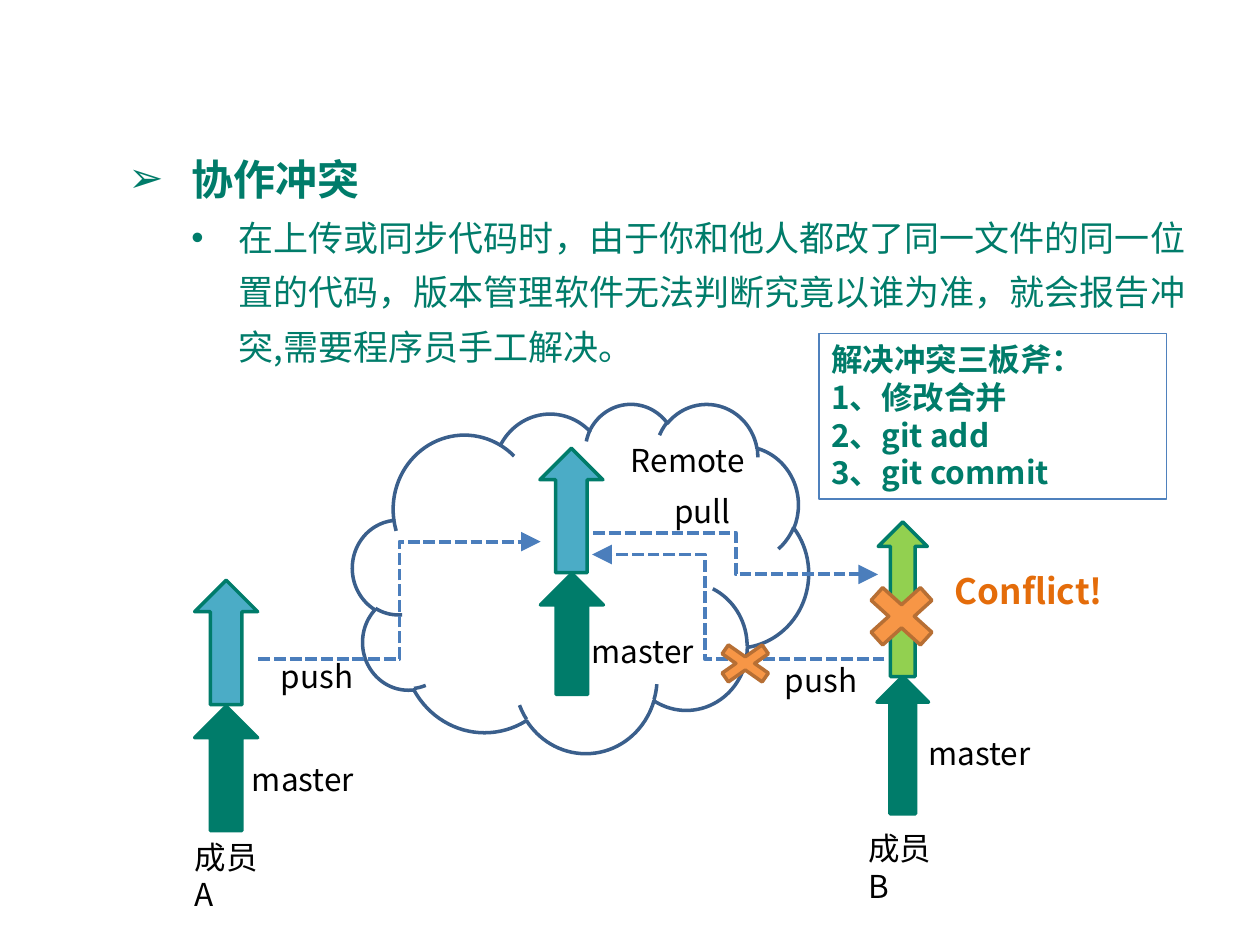
from lxml.etree import SubElement
from pptx import Presentation
from pptx.dml.color import RGBColor
from pptx.enum.dml import MSO_LINE
from pptx.enum.shapes import MSO_CONNECTOR, MSO_SHAPE
from pptx.enum.text import MSO_ANCHOR, PP_ALIGN
from pptx.oxml.ns import qn
from pptx.util import Cm, Pt

COLORS = {
    "teal": "007C6A", "blue": "4BACC6", "green": "92D050", "orange": "F79646",
    "rust": "B76F34", "alert": "E46C0A", "navy": "3A5F8C", "flow": "4B7EBC",
    "frame": "4F81BD", "white": "FFFFFF", "black": "000000",
}
FONT = "Noto Sans CJK SC"


def color(name):
    return RGBColor.from_string(COLORS[name])


def write(paragraph, text, size=18, ink="black", bold=False, bullet=None,
          level=0, margin=0, hanging=0, spacing=None):
    paragraph.alignment = PP_ALIGN.LEFT
    paragraph.level = level
    if spacing:
        paragraph.line_spacing = spacing
    if bullet:
        properties = paragraph._p.get_or_add_pPr()
        properties.set("marL", str(Cm(margin)))
        properties.set("indent", str(-Cm(hanging)))
        SubElement(properties, qn("a:buFont")).set("typeface", "Arial")
        SubElement(properties, qn("a:buChar")).set("char", bullet)
    run = paragraph.add_run()
    run.text = text
    run.font.size, run.font.bold, run.font.name = Pt(size), bold, FONT
    run.font.color.rgb = color(ink)
    SubElement(run._r.get_or_add_rPr(), qn("a:ea")).set("typeface", FONT)


class Diagram:
    def __init__(self, slide):
        self.shapes = slide.shapes

    def shape(self, kind, left, top, width, height, fill, line, weight=2):
        shape = self.shapes.add_shape(kind, Cm(left), Cm(top), Cm(width), Cm(height))
        shape.shadow.inherit = False
        if fill:
            shape.fill.solid()
            shape.fill.fore_color.rgb = color(fill)
        else:
            shape.fill.background()
        shape.line.color.rgb = color(line)
        shape.line.width = Pt(weight)
        return shape

    def commit(self, center_x, center_y, length, thickness, fill):
        arrow = self.shape(MSO_SHAPE.RIGHT_ARROW, center_x - length / 2,
                           center_y - thickness / 2, length, thickness, fill, "teal")
        arrow.rotation = 270

    def cross(self, left, top, width, height):
        mark = self.shape(MSO_SHAPE.MATH_MULTIPLY, left, top, width, height,
                          "orange", "rust")
        mark.adjustments[0] = 0.2

    def text(self, left, top, width, height, wrap=False):
        frame = self.shapes.add_textbox(Cm(left), Cm(top), Cm(width), Cm(height)).text_frame
        frame.word_wrap = wrap
        return frame

    def label(self, text, left, top, width, height=1.02, wrap=False, **style):
        write(self.text(left, top, width, height, wrap).paragraphs[0], text, **style)

    def flow(self, start, end, bend=0.5):
        route = self.shapes.add_connector(MSO_CONNECTOR.ELBOW, *map(Cm, start + end))
        route.line.color.rgb = color("flow")
        route.line.width = Pt(2.25)
        route.line.dash_style = MSO_LINE.SQUARE_DOT
        properties = route._element.spPr
        head = SubElement(properties.find(qn("a:ln")), qn("a:tailEnd"))
        for key, value in (("type", "triangle"), ("w", "lg"), ("len", "lg")):
            head.set(key, value)
        SubElement(properties, qn("a:effectLst"))
        guides = properties.find(qn("a:prstGeom")).get_or_add_avLst()
        guide = SubElement(guides, qn("a:gd"))
        guide.set("name", "adj1")
        guide.set("fmla", f"val {round(bend * 100000)}")


deck = Presentation()
deck.slide_width, deck.slide_height = Cm(25.4), Cm(19.05)
diagram = Diagram(deck.slides.add_slide(deck.slide_layouts[6]))

diagram.shape(MSO_SHAPE.CLOUD, 7.11, 8.13, 9.19, 7.04, "white", "navy")

topic = diagram.text(2.34, 1.8, 22, 7.59, wrap=True)
topic.vertical_anchor = MSO_ANCHOR.BOTTOM
topic.margin_bottom = Cm(1.98)
write(topic.paragraphs[0], "协作冲突", size=24, ink="teal", bold=True, bullet="➢",
      margin=1.27, hanging=1.27, spacing=1.3)
write(topic.add_paragraph(),
      "在上传或同步代码时，由于你和他人都改了同一文件的同一位置的代码，"
      "版本管理软件无法判断究竟以谁为准，就会报告冲突,需要程序员手工解决。",
      size=20, ink="teal", bullet="•", level=1, margin=2.22, hanging=0.95, spacing=1.3)

for commit in [
    (18.2, 15.02, 2.77, 1.04, "teal"),
    (11.53, 12.78, 2.44, 1.27, "teal"),
    (18.2, 12.08, 3.12, 0.99, "green"),
    (4.56, 15.49, 2.51, 1.27, "teal"),
    (4.56, 12.95, 2.51, 1.27, "blue"),
    (11.52, 10.29, 2.51, 1.27, "blue"),
]:
    diagram.commit(*commit)

diagram.flow((5.21, 13.28), (10.9, 10.92))
diagram.flow((11.96, 10.74), (17.7, 11.58))
diagram.flow((17.83, 13.28), (11.94, 11.18), bend=0.615)
diagram.cross(17.22, 11.56, 1.91, 1.73)
diagram.cross(14.25, 12.83, 1.55, 1.09)

for label in [
    ("master", 4.83, 15.19, 2.62),
    ("master", 11.68, 12.62, 2.62),
    ("master", 18.47, 14.68, 2.62),
    ("push", 5.41, 13.13, 2.01),
    ("push", 15.57, 13.21, 2.01),
    ("pull", 13.34, 9.8, 1.65),
]:
    diagram.label(*label)
diagram.label("Remote", 12.47, 8.76, 3.2, wrap=True)
diagram.label("成员A", 3.68, 16.76, 2, wrap=True)
diagram.label("成员B", 17.25, 16.59, 2, wrap=True)
diagram.label("Conflict!", 19, 11.35, 3.56, 1.12, size=20, ink="alert", bold=True)

remedy = diagram.shape(MSO_SHAPE.RECTANGLE, 16.51, 6.73, 7.01, 3.33,
                       None, "frame", 0.75).text_frame
remedy.word_wrap = True
remedy.vertical_anchor = MSO_ANCHOR.TOP
steps = ["解决冲突三板斧：", "1、修改合并", "2、git add", "3、git commit"]
for index, step in enumerate(steps):
    line = remedy.add_paragraph() if index else remedy.paragraphs[0]
    write(line, step, ink="teal", bold=True)

deck.save("out.pptx")
